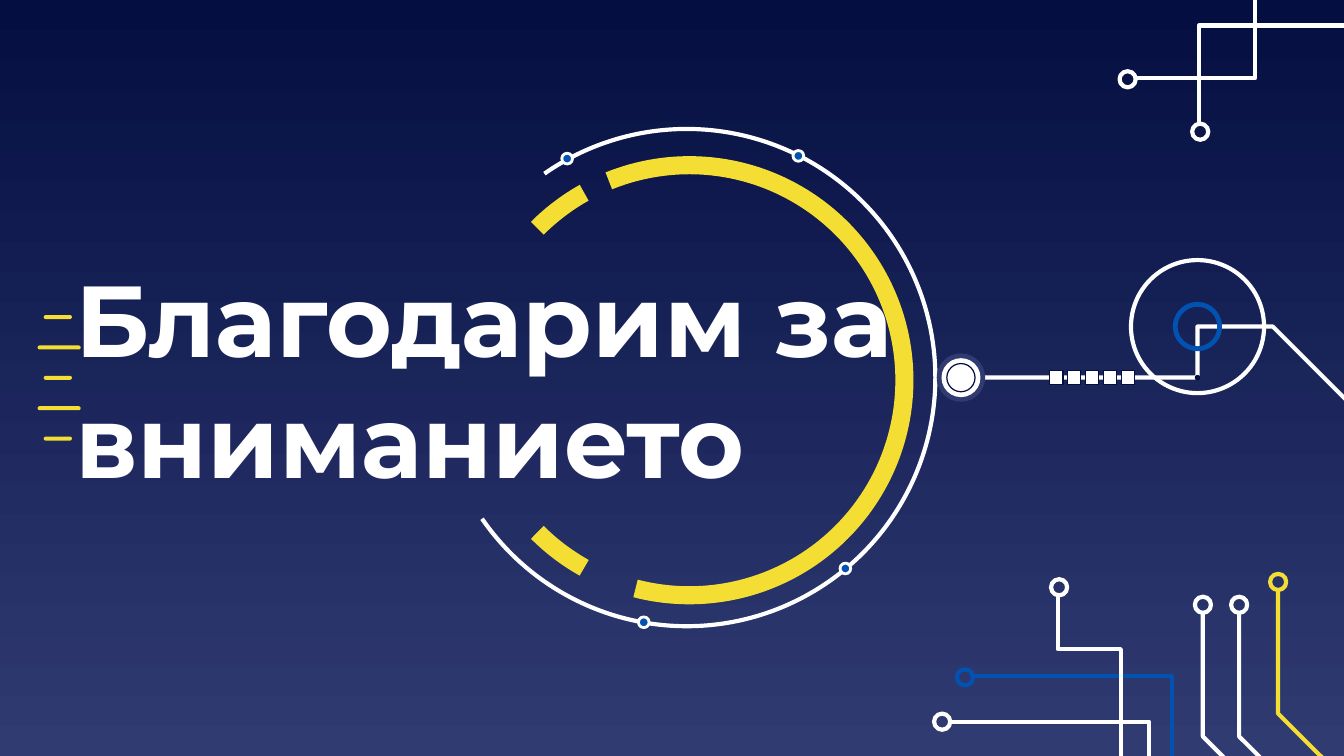
from pptx import Presentation
from pptx.dml.color import RGBColor
from pptx.enum.shapes import MSO_SHAPE as Shape
from pptx.enum.text import MSO_ANCHOR, MSO_AUTO_SIZE, PP_ALIGN
from pptx.util import Inches, Pt

COLORS = {"navy": "040E41", "slate": "303B72", "white": "FFFFFF",
          "yellow": "F5DE34", "blue": "0152B1"}

# Widescreen page, 16 to 9
deck = Presentation()
deck.slide_width, deck.slide_height = Inches(10), Inches(10 * 9 / 16)
page = deck.slides.add_slide(deck.slide_layouts[5])


def paint(shape, fill=None, line=None, width=2.25):
    shape.shadow.inherit = False
    if fill:
        shape.fill.solid()
        shape.fill.fore_color.rgb = RGBColor.from_string(COLORS[fill])
    else:
        shape.fill.background()
    if line:
        shape.line.color.rgb = RGBColor.from_string(COLORS[line])
        shape.line.width = Pt(width)
    else:
        shape.line.fill.background()


def add_centered(kind, x, y, width, height):
    return page.shapes.add_shape(kind, Inches(x - width / 2), Inches(y - height / 2),
                                 Inches(width), Inches(height))


# Background, dark at the top
background = page.background.fill
background.gradient()
background.gradient_angle = 270
for stop, name in zip(background.gradient_stops, ("navy", "slate")):
    stop.color.rgb = RGBColor.from_string(COLORS[name])

# Title; the narrow right margin keeps "за" on the first line
title = page.shapes.title
title.left, title.top = Inches(0.46), Inches(1.55)
title.width, title.height = Inches(6.28), Inches(2.52)
frame = title.text_frame
frame.word_wrap = True
frame.auto_size = MSO_AUTO_SIZE.NONE
frame.vertical_anchor = MSO_ANCHOR.MIDDLE
frame.margin_left = frame.margin_top = frame.margin_bottom = Inches(0.1)
frame.margin_right = Inches(0.04)
para = frame.paragraphs[0]
para.text = "Благодарим за вниманието"
para.alignment = PP_ALIGN.LEFT
para.line_spacing = 1.0
para.font.name = "Montserrat"
para.font.size = Pt(54)
para.font.bold = True
para.font.color.rgb = RGBColor.from_string(COLORS["white"])

# Short and long bars left of the title
for index in range(5):
    bar = add_centered(Shape.ROUNDED_RECTANGLE, 0.44 if index % 2 else 0.43,
                       2.36 + index * 0.226, 0.32 if index % 2 else 0.21, 0.03)
    bar.adjustments[0] = 0.5
    paint(bar, "yellow")

# Circuit traces: color and corner points
traces = [
    ("blue", [(10.2, 6.24), (8.72, 6.24), (8.72, 5.03), (7.24, 5.03)]),
    ("white", [(8.95, 4.55), (8.95, 5.48), (9.39, 5.92), (9.39, 6.65)]),
    ("white", [(9.22, 4.55), (9.22, 5.48), (9.66, 5.92), (9.66, 6.65)]),
    ("yellow", [(9.51, 4.38), (9.51, 5.31), (9.95, 5.75), (9.95, 6.48)]),
    ("white", [(8.45, 0.58), (9.34, 0.58), (9.34, -0.52)]),
    ("white", [(8.92, 0.93), (8.92, 0.19), (10.11, 0.19), (10.11, -0.52)]),
    ("white", [(10.03, 6.57), (8.55, 6.57), (8.55, 5.37), (7.07, 5.37)]),
    ("white", [(7.87, 4.42), (7.87, 4.83), (8.34, 4.83), (8.34, 5.94)]),
    ("white", [(10.14, 3.1), (9.47, 2.43), (8.91, 2.43), (8.91, 2.81), (7.23, 2.81)]),
]
for color, points in traces:
    corners = [(Inches(x), Inches(y)) for x, y in points]
    builder = page.shapes.build_freeform(*corners[0])
    builder.add_line_segments(corners[1:], close=False)
    paint(builder.convert_to_shape(), line=color)

# Rings at the trace ends
for color, x, y in [
    ("blue", 7.18, 5.04), ("white", 8.95, 4.5), ("white", 9.22, 4.5),
    ("yellow", 9.51, 4.33), ("white", 8.39, 0.59), ("white", 8.93, 0.98),
    ("white", 7.01, 5.37), ("white", 7.88, 4.37),
]:
    paint(add_centered(Shape.OVAL, x, y, 0.12, 0.12), line=color)

# Large arcs: center, radius, start and end degrees clockwise from the right
for x, y, radius, start, end, color, width in [
    (5.13, 2.83, 1.6, 119.3, 135, "yellow", 9.69),
    (5.13, 2.83, 1.6, 248, 104.5, "yellow", 9.69),
    (5.13, 2.83, 1.6, 225, 240.7, "yellow", 9.69),
    (5.11, 2.81, 1.85, 235.1, 145.4, "white", 2.25),
]:
    arc = add_centered(Shape.ARC, x, y, 2 * radius, 2 * radius)
    # Arc adjustments count 100000 units of 1/60000 degree
    arc.adjustments[0], arc.adjustments[1] = start * 0.6, end * 0.6
    paint(arc, line=color, width=width)

# Dots on the thin arc
for x, y in [(5.94, 1.16), (4.22, 1.18), (6.29, 4.23), (4.79, 4.63)]:
    paint(add_centered(Shape.OVAL, x, y, 0.08, 0.08), "blue", "white", 1.5)

# Round parts of the middle circuit
for x, y, size, fill, line, width in [
    (8.91, 2.81, 0.04, "navy", None, 0),
    (8.91, 2.43, 0.99, None, "white", 2.25),
    (8.91, 2.43, 0.33, None, "blue", 2.57),
    (7.15, 2.81, 0.36, "slate", None, 0),
    (7.15, 2.81, 0.29, "white", None, 0),
    (7.15, 2.81, 0.21, "white", "navy", 0.66),
]:
    paint(add_centered(Shape.OVAL, x, y, size, size), fill, line, width)

# Row of squares on the middle trace
for index in range(5):
    square = add_centered(Shape.RECTANGLE, 7.86 + index * 0.133, 2.81, 0.1, 0.1)
    paint(square, "white", "navy", 0.66)

deck.save("out.pptx")
